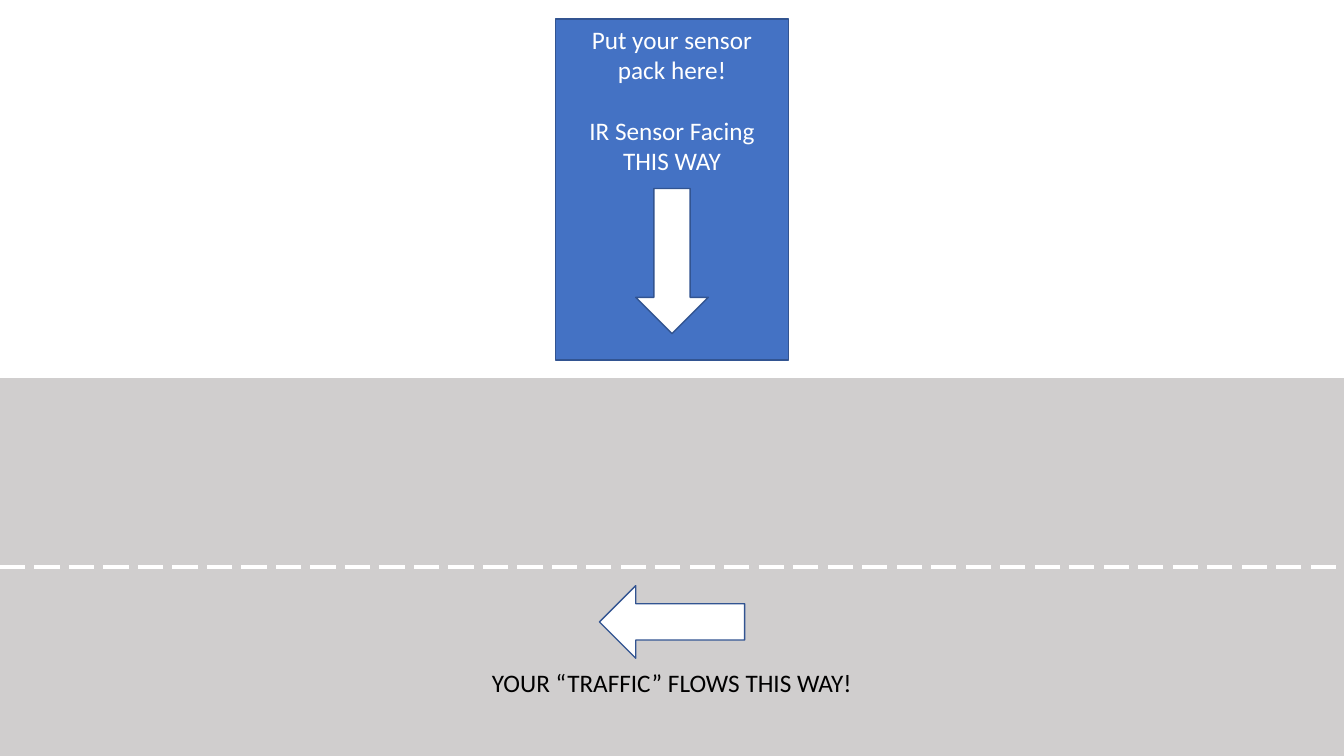
from dataclasses import dataclass

from lxml.etree import SubElement
from pptx import Presentation
from pptx.dml.color import RGBColor
from pptx.enum.dml import MSO_LINE_DASH_STYLE as Dash
from pptx.enum.shapes import MSO_CONNECTOR as Connector, MSO_SHAPE as Shape
from pptx.enum.text import MSO_ANCHOR as Anchor, PP_ALIGN as Align
from pptx.oxml.ns import qn
from pptx.util import Inches, Pt


@dataclass(frozen=True)
class Theme:
    """Colours, font and sizes of the slide."""
    road: RGBColor = RGBColor.from_string("D0CECE")
    pack: RGBColor = RGBColor.from_string("4472C4")
    outline: RGBColor = RGBColor.from_string("325491")
    white: RGBColor = RGBColor.from_string("FFFFFF")
    black: RGBColor = RGBColor.from_string("000000")
    font: str = "Calibri"
    text_size: Pt = Pt(18)
    paragraph_gap: Pt = Pt(22)
    outline_width: Pt = Pt(1)
    lane_width: Pt = Pt(2.25)


THEME = Theme()
WIDTH, HEIGHT = 13.33, 7.5
ARROW_WIDTH, ARROW_LENGTH = 0.72, 1.44


def set_format(target, values):
    """Set each attribute of the target from a dict."""
    for name, value in values.items():
        setattr(target, name, value)


def add_block(slide, kind, box, fill, outlined=True):
    """Add a filled preset shape in the given box."""
    shape = slide.shapes.add_shape(kind, *map(Inches, box))
    shape.shadow.inherit = False
    shape.fill.solid()
    shape.fill.fore_color.rgb = fill
    if outlined:
        shape.line.color.rgb = THEME.outline
        shape.line.width = THEME.outline_width
    else:
        shape.line.fill.background()
    return shape


def add_arrow(slide, center_x, center_y, rotation=0):
    """Add a white arrow centred on a point."""
    box = (center_x - ARROW_WIDTH / 2, center_y - ARROW_LENGTH / 2,
           ARROW_WIDTH, ARROW_LENGTH)
    add_block(slide, Shape.DOWN_ARROW, box, THEME.white).rotation = rotation


def write_text(shape, lines, color):
    """Write centred paragraphs from the top of a shape."""
    frame = shape.text_frame
    set_format(frame, {"word_wrap": True, "vertical_anchor": Anchor.TOP,
                       "text": "\n".join(lines)})
    for index, paragraph in enumerate(frame.paragraphs):
        set_format(paragraph, {"alignment": Align.CENTER,
                               "space_before": THEME.paragraph_gap if index else Pt(0)})
        font = paragraph.runs[0].font
        set_format(font, {"name": THEME.font, "size": THEME.text_size})
        font.color.rgb = color


def add_lane_line(slide, left, top, width):
    """Add the dashed white line along the road."""
    line = slide.shapes.add_connector(
        Connector.STRAIGHT, *map(Inches, (left, top, left + width, top)))
    set_format(line.line, {"width": THEME.lane_width, "dash_style": Dash.LONG_DASH})
    line.line.color.rgb = THEME.white
    SubElement(line._element.spPr, qn("a:effectLst"))


def add_road(slide, left, top, width, height):
    """Add the road with its lane line, traffic arrow and caption."""
    add_block(slide, Shape.RECTANGLE, (left, top, width, height), THEME.road, False)
    add_lane_line(slide, left, top + height / 2, width)
    add_arrow(slide, left + width / 2, top + 2.42, 90)
    caption = slide.shapes.add_textbox(
        *map(Inches, (left, top + 2.82, width, 0.4)))
    write_text(caption, ["YOUR “TRAFFIC” FLOWS THIS WAY!"], THEME.black)


def add_sensor_pack(slide, left, top, width, height):
    """Add the sensor pack area with its facing arrow."""
    pack = add_block(slide, Shape.RECTANGLE, (left, top, width, height), THEME.pack)
    write_text(pack, ["Put your sensor pack here!", "IR Sensor Facing THIS WAY"],
               THEME.white)
    add_arrow(slide, left + width / 2, top + 2.4)


def main():
    """Build and save the presentation."""
    presentation = Presentation()
    set_format(presentation, {"slide_width": Inches(WIDTH),
                              "slide_height": Inches(HEIGHT)})
    slide = presentation.slides.add_slide(presentation.slide_layouts[6])
    add_road(slide, 0, HEIGHT / 2, WIDTH, HEIGHT / 2)
    pack_width = 2.31
    add_sensor_pack(slide, (WIDTH - pack_width) / 2, 0.19, pack_width, 3.38)
    presentation.save("out.pptx")


main()
